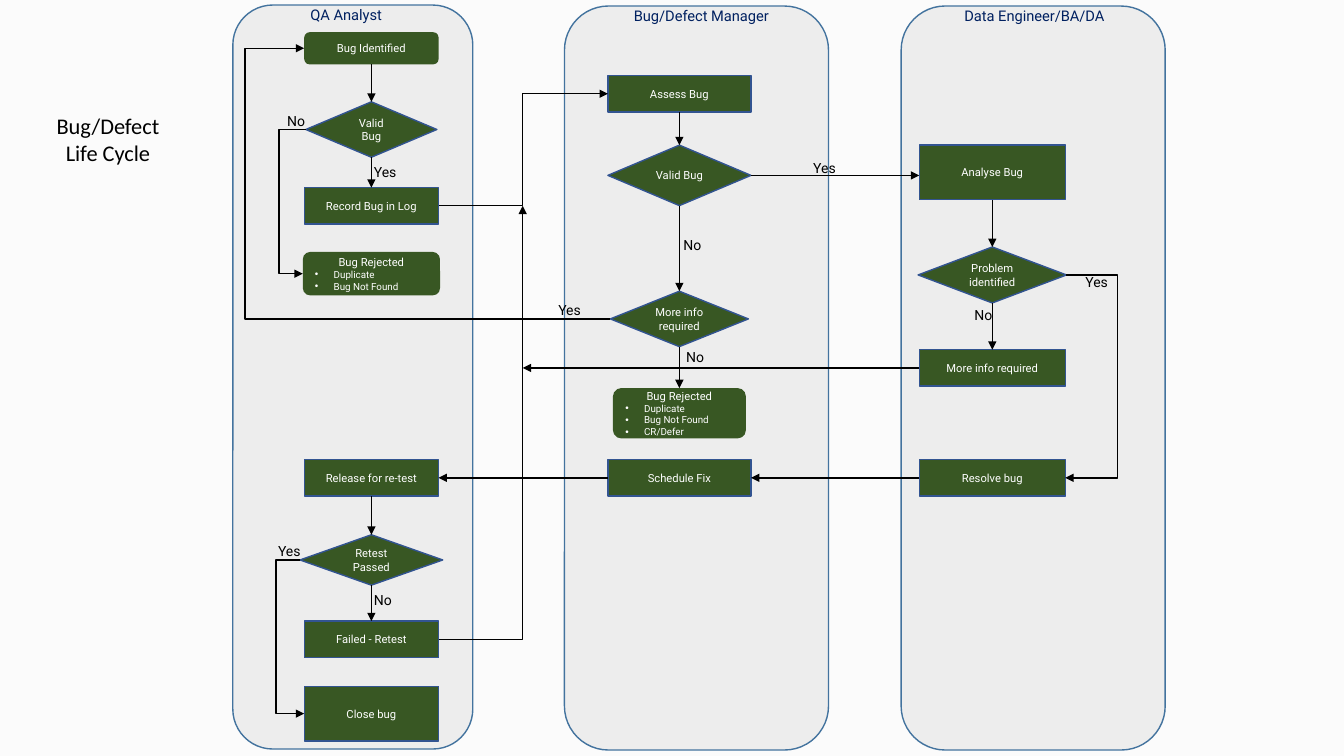
from pptx import Presentation
from pptx.dml.color import RGBColor
from pptx.enum.shapes import MSO_CONNECTOR, MSO_SHAPE
from pptx.enum.text import MSO_ANCHOR, MSO_AUTO_SIZE, PP_ALIGN
from pptx.oxml.ns import qn
from pptx.util import Pt
from lxml.etree import SubElement


class Theme:
    back, lane, edge = "FBFBFB", "EDEDED", "43739E"
    box, rim, white = "385723", "325491", "FFFFFF"
    head, ink = "002060", "000000"
    font, title_font = "Roboto", "Calibri"
    title, lane_head, label, step, item = 16, 10.5, 10, 8, 7


# Content: all lengths in points
TITLE = "Bug/Defect Life Cycle"
# heading, heading left, heading top, heading width, lane left, lane top, lane width
LANES = [
    ("Data Engineer/BA/DA", 681.8, 1.4, 116, 643.7, 4.3, 188.6),
    ("Bug/Defect Manager", 445.7, 1.4, 116, 403.2, 4.3, 188.6),
    ("QA Analyst", 214.6, 0.5, 70.6, 166.3, 3.6, 171.4),
]
LANE_H = 531.4
MIDS = {"qa": 265.3, "mgr": 485.3, "data": 708.8}
KINDS = {
    "round": MSO_SHAPE.FLOWCHART_ALTERNATE_PROCESS,
    "task": MSO_SHAPE.FLOWCHART_PROCESS,
    "test": MSO_SHAPE.FLOWCHART_DECISION,
}
# name: lane, kind, top, width, height, lines (further lines of a round box are bullets)
STEPS = {
    "found": ("qa", "round", 23, 96, 23, ["Bug Identified"]),
    "valid": ("qa", "test", 72.7, 93.6, 39.6, ["Valid Bug"]),
    "record": ("qa", "task", 134, 96, 26, ["Record Bug in Log"]),
    "reject": ("qa", "round", 180, 98, 31, ["Bug Rejected", "Duplicate", "Bug Not Found"]),
    "release": ("qa", "task", 328.3, 96, 26, ["Release for re-test"]),
    "retest": ("qa", "test", 382, 102, 36, ["Retest Passed"]),
    "failed": ("qa", "task", 443.7, 96, 26, ["Failed - Retest"]),
    "close": ("qa", "task", 490.3, 96, 39, ["Close bug"]),
    "assess": ("mgr", "task", 54, 102.2, 26, ["Assess Bug"]),
    "check": ("mgr", "test", 103.7, 102.2, 43.2, ["Valid Bug"]),
    "more": ("mgr", "test", 208, 98.6, 39.6, ["More info", "required"]),
    "defer": ("mgr", "round", 277.2, 95, 36,
              ["Bug Rejected", "Duplicate", "Bug Not Found", "CR/Defer"]),
    "plan": ("mgr", "task", 328.3, 102.2, 26, ["Schedule Fix"]),
    "study": ("data", "task", 103.7, 104.4, 39, ["Analyse Bug"]),
    "cause": ("data", "test", 176.4, 106, 40, ["Problem identified"]),
    "query": ("data", "task", 249.8, 104.4, 26, ["More info required"]),
    "solve": ("data", "task", 328.3, 104.4, 26, ["Resolve bug"]),
}
TOP, LEFT, LOW, RIGHT = range(4)
TRUNK = 373.4
# from, side, to, side; an end may also be a bare point
LINKS = [
    ("found", LOW, "valid", TOP), ("valid", LOW, "record", TOP),
    ("release", LOW, "retest", TOP), ("retest", LOW, "failed", TOP),
    ("assess", LOW, "check", TOP), ("check", LOW, "more", TOP),
    ("more", LOW, "defer", TOP), ("study", LOW, "cause", TOP),
    ("cause", LOW, "query", TOP), ("solve", LEFT, "plan", RIGHT),
    ("plan", LEFT, "release", RIGHT),
    ("check", RIGHT, (656.6, 125.3), None), ("query", LEFT, (TRUNK, 262.8), None),
]
# from, side, to, side, x of the upright part
BENDS = [
    ("valid", LEFT, "reject", LEFT, 199.4), ("record", RIGHT, "assess", LEFT, TRUNK),
    ("cause", RIGHT, "solve", RIGHT, 798.5), ("retest", LEFT, "close", LEFT, 197.3),
    ("more", LEFT, "found", LEFT, 175), ("failed", RIGHT, (TRUNK, 147), None, TRUNK),
]
LABELS = [
    ("Yes", 260, 113), ("No", 198, 77), ("No", 689, 215.3), ("Yes", 768.2, 191.5),
    ("No", 260, 419), ("Yes", 191.5, 383.8), ("Yes", 573.8, 110.2),
    ("No", 481, 165.6), ("Yes", 391.7, 211.7), ("No", 483, 245.5),
]


def tint(text):
    return RGBColor.from_string(text)


def style(para, size, color, font=Theme.font):
    para.font.size, para.font.name = Pt(size), font
    para.font.color.rgb = tint(color)


def draw(kind, x, y, w, h, fill, rim):
    shape = shapes.add_shape(kind, Pt(x), Pt(y), Pt(w), Pt(h))
    shape.shadow.inherit = False
    shape.fill.solid()
    shape.fill.fore_color.rgb = tint(fill)
    if rim:
        shape.line.color.rgb, shape.line.width = tint(rim), Pt(1)
    else:
        shape.line.fill.background()
    return shape


def write(text, x, y, w, h, size, color, wrap):
    frame = shapes.add_textbox(Pt(x), Pt(y), Pt(w), Pt(h)).text_frame
    frame.word_wrap, frame.auto_size = wrap, MSO_AUTO_SIZE.SHAPE_TO_FIT_TEXT
    frame.text = text
    style(frame.paragraphs[0], size, color)


def bullet(para):
    props = para._p.get_or_add_pPr()
    props.set("marL", str(Pt(13.5)))
    props.set("indent", str(Pt(-13.5)))
    SubElement(props, qn("a:buFont")).set("typeface", "Arial")
    SubElement(props, qn("a:buChar")).set("char", "•")


def add_step(name):
    lane, kind, y, w, h, lines = STEPS[name]
    rim = None if kind == "round" else Theme.rim
    shape = draw(KINDS[kind], MIDS[lane] - w / 2, y, w, h, Theme.box, rim)
    frame = shape.text_frame
    frame.word_wrap, frame.vertical_anchor = True, MSO_ANCHOR.MIDDLE
    frame.text = "\n".join(lines)
    for i, para in enumerate(frame.paragraphs):
        item = kind == "round" and i > 0
        para.alignment = PP_ALIGN.LEFT if item else PP_ALIGN.CENTER
        style(para, Theme.item if item else Theme.step, Theme.white)
        if item:
            bullet(para)
    return shape


def spot(end, side):
    if side is None:
        return end
    lane, _, y, w, h, _ = STEPS[end]
    x = MIDS[lane]
    return [(x, y), (x - w / 2, y + h / 2), (x, y + h), (x + w / 2, y + h / 2)][side]


def arrow(kind, start, end):
    line = shapes.add_connector(kind, *(Pt(v) for v in (*start, *end)))
    line.line.color.rgb, line.line.width = tint(Theme.ink), Pt(1)
    SubElement(line.line._get_or_add_ln(), qn("a:tailEnd")).set("type", "triangle")
    SubElement(line._element.spPr, qn("a:effectLst"))
    return line


def bend(start, end, mid):
    line = arrow(MSO_CONNECTOR.ELBOW, start, end)
    geom = line._element.spPr.find(qn("a:prstGeom"))
    if mid == end[0]:
        geom.set("prst", "bentConnector2")
        return
    ratio = (mid - start[0]) / (end[0] - start[0])
    guide = SubElement(geom.find(qn("a:avLst")), qn("a:gd"))
    guide.set("name", "adj1")
    guide.set("fmla", f"val {round(ratio * 100000)}")


deck = Presentation()
deck.slide_width, deck.slide_height = Pt(960), Pt(540)
slide = deck.slides.add_slide(deck.slide_layouts[5])
shapes = slide.shapes
slide.background.fill.solid()
slide.background.fill.fore_color.rgb = tint(Theme.back)

# Title
title = shapes.title
title.left, title.top, title.width, title.height = Pt(23.8), Pt(76.5), Pt(106.6), Pt(46)
title.text_frame.text = TITLE
title.text_frame.word_wrap, title.text_frame.auto_size = True, MSO_AUTO_SIZE.NONE
title.text_frame.vertical_anchor = MSO_ANCHOR.TOP
title.text_frame.paragraphs[0].alignment = PP_ALIGN.CENTER
style(title.text_frame.paragraphs[0], Theme.title, Theme.ink, Theme.title_font)

# Lanes and their headings
for head, hx, hy, hw, x, y, w in LANES:
    draw(MSO_SHAPE.ROUNDED_RECTANGLE, x, y, w, LANE_H, Theme.lane, Theme.edge)
    write(head, hx, hy, hw, 20, Theme.lane_head, Theme.head, True)

# Steps
steps = {name: add_step(name) for name in STEPS}

# Arrows
for a, side, b, other in LINKS:
    line = arrow(MSO_CONNECTOR.STRAIGHT, spot(a, side), spot(b, other))
    line.begin_connect(steps[a], side)
    if other is not None:
        line.end_connect(steps[b], other)
for a, side, b, other, mid in BENDS:
    bend(spot(a, side), spot(b, other), mid)

# Answers
for text, x, y in LABELS:
    write(text, x, y, 32 if text == "Yes" else 27, 19.4, Theme.label, Theme.ink, False)

deck.save("out.pptx")
